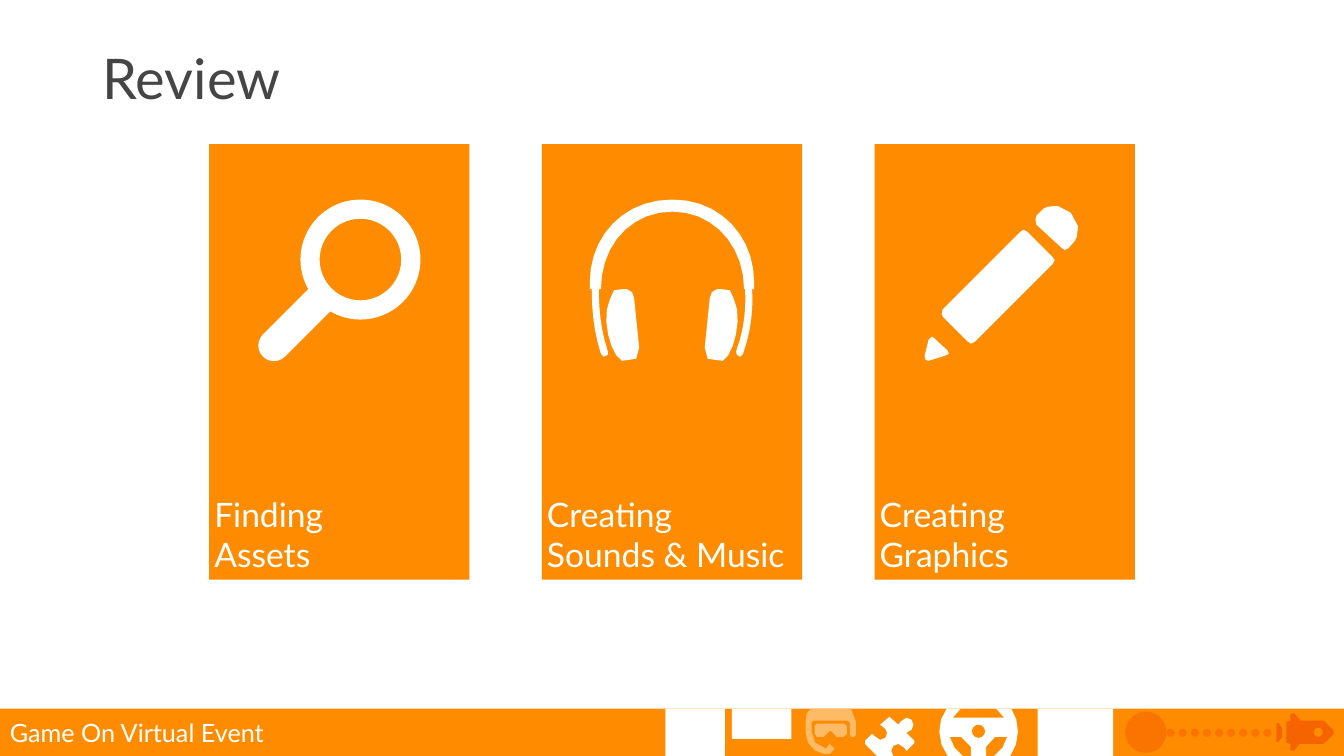
"""Builds the review slide: three icon cards above a decorated event band."""
from math import dist

from pptx import Presentation
from pptx.dml.color import RGBColor
from pptx.enum.shapes import MSO_SHAPE
from pptx.enum.text import MSO_ANCHOR, PP_ALIGN
from pptx.util import Inches, Pt

RECT, OVAL = MSO_SHAPE.RECTANGLE, MSO_SHAPE.OVAL
DONUT, ROUNDED = MSO_SHAPE.DONUT, MSO_SHAPE.ROUNDED_RECTANGLE
MIDDLE, BOTTOM, LEFT = MSO_ANCHOR.MIDDLE, MSO_ANCHOR.BOTTOM, PP_ALIGN.LEFT
COLORS = {"orange": "FF8C00", "white": "FFFFFF", "title": "454545",
          "dots": "F97400", "rocket": "F56400", "mask": "FFBA66"}
W, H = 13.33, 7.5
BAND_H = 0.47
BAND_Y = H - BAND_H
CARD_W, CARD_H, CARD_Y, GAP = 2.58, 4.32, 1.43, 0.72
CARD_X = (W - 3 * CARD_W - 2 * GAP) / 2
STEP = 12
UNIT = Inches(0.01)

# Outlines in hundredths of an inch: two numbers make a line, six a curve, | a new contour.
HEADPHONES = """667,198 618,198,585,235,585,280 585,287 587,287 587,303,588,326,596,351
    599,354 603,352 603,349 595,325,594,303,594,287 596,287 596,244,625,210,667,210
    708,210,738,244,738,287 739,287 740,303,739,325,730,349 731,352 734,354 737,351
    746,326,747,303,746,287 748,287 748,280 748,235,715,198,667,198 |
    617,287 609,288 605,297 596,314,605,352,617,358 624,357 631,356 634,345 629,296
    627,290 622,287 |
    716,287 711,287 706,290 704,296 699,345 702,356 709,357 717,358
    728,352,737,314,728,297 724,288"""
PENCIL = """937,353 941,351 940,348 926,335 924,334 921,337 917,353 918,357 921,358 |
    1062,211 1048,198,1035,207,1035,207 1028,214 1027,218 1028,223 1053,246
    1056,248 1060,246 1066,239 1066,239,1076,225,1062,211 |
    967,339 963,341 960,339 935,314 934,311 935,307 1012,230 1015,228 1019,230
    1044,255 1046,258 1044,262"""
MASK = """810,718 837,718 840,720 840,728 837,731 830,731 824,725 823,725 817,731
    810,731 808,728 808,720 |
    804,703 844,703 849,716 849,729 847,731 844,731 843,729 843,717 841,715 807,715
    805,717 805,726 805,734,810,741,818,742 819,743 823,738 828,743 823,748
    818,748 807,747,799,738,799,727 799,716 800,708"""
PUZZLE = """882,711 891,719 893,716 899,712 904,714 906,719 904,724 899,727 907,735
    907,737 899,745 897,742 891,738 886,740 884,745 886,750 870,750 858,738
    858,735 865,728 867,730 873,734 878,732 880,727 878,723 873,719 881,712"""
WHEEL = """939,703 953,703 945,712 996,712 988,703 1003,703 1012,716,1012,736,1002,750
    986,750 993,745,997,739,999,731 987,731 978,741 978,750 963,750 963,741 953,731
    942,731 944,739,948,745,955,750 940,750 929,736,929,716,939,703"""
ROCKET = """1268,717 1272,723 1272,731 1268,736 1266,736 1266,718 |
    1314,716 1322,724 1323,727 1322,729 1314,737 1312,738 1289,738 1283,745 1280,744
    1280,738 1276,737 1276,716 1280,715 1280,709 1283,707 1290,715 1312,715"""

prs = Presentation()
prs.slide_width, prs.slide_height = Inches(W), Inches(H)
s = prs.slides.add_slide(prs.slide_layouts[6])


def add_text(text, x, y, w, h, *, size=18, color="white", fill=None, shape=RECT,
             anchor=MIDDLE, inset=None, spacing=None):
    """Add a filled shape or, without a fill, a text box."""
    box = [Inches(v) for v in (x, y, w, h)]
    if fill:
        sp = s.shapes.add_shape(shape, *box)
        sp.fill.solid()
        sp.fill.fore_color.rgb = RGBColor.from_string(COLORS[fill])
        sp.line.fill.background()
        sp.shadow.inherit = False
    else:
        sp = s.shapes.add_textbox(*box)
    if not text:
        return sp
    tf = sp.text_frame
    tf.word_wrap, tf.vertical_anchor = True, anchor
    if inset is not None:
        tf.margin_left = tf.margin_right = tf.margin_top = tf.margin_bottom = Inches(inset)
    tf.text = text
    for p in tf.paragraphs:
        p.alignment, p.line_spacing = LEFT, spacing
        for r in p.runs:
            r.font.name, r.font.size = "Lato", Pt(size)
            r.font.color.rgb = RGBColor.from_string(COLORS[color])
    return sp


def add_outline(outline, color):
    """Draw all contours of an outline as one filled freeform."""
    fb = None
    for contour in outline.split("|"):
        pts = []
        for token in contour.split():
            v = [int(n) for n in token.split(",")]
            if len(v) == 2:
                pts.append(tuple(v))
                continue
            ends = [pts[-1], v[:2], v[2:4], v[4:]]
            steps = 1 + int(dist(ends[0], ends[3]) / STEP)
            for i in range(1, steps + 1):
                t = i / steps
                weights = (1 - t) ** 3, 3 * t * (1 - t) ** 2, 3 * t * t * (1 - t), t ** 3
                pts.append(tuple(sum(k * e[axis] for k, e in zip(weights, ends))
                                 for axis in (0, 1)))
        pts = [(x * UNIT, y * UNIT) for x, y in pts]
        if fb is None:
            fb = s.shapes.build_freeform(*pts[0])
        else:
            fb.move_to(*pts[0])
        fb.add_line_segments(pts[1:], close=True)
    sp = fb.convert_to_shape()
    sp.fill.solid()
    sp.fill.fore_color.rgb = RGBColor.from_string(COLORS[color])
    sp.line.fill.background()
    sp.shadow.inherit = False


add_text("Game On Virtual Event", 0, BAND_Y, W, BAND_H, fill="orange")
for x, w, h in [(6.6, 0.59, BAND_H), (7.26, 0.59, 0.3), (10.29, 0.75, BAND_H)]:
    add_text("", x, BAND_Y, w, h, fill="white")
add_text("", 11.16, 7.06, 0.41, 0.41, fill="dots", shape=OVAL)
for i in range(9):
    add_text("", 11.57 + 0.12 * i, 7.23, 0.08, 0.08, fill="dots", shape=OVAL)
for outline, color in [(MASK, "mask"), (PUZZLE, "white"), (WHEEL, "white"), (ROCKET, "rocket")]:
    add_outline(outline, color)
for x, y, d in [(9.64, 7.19, 0.13), (13.03, 7.22, 0.09)]:
    add_text("", x, y, d, d, fill="orange", shape=OVAL)

add_text("Review", 0.92, 0.32, 11.5, 0.98, size=40, color="title", spacing=0.9)
cards = ["Finding\nAssets", "Creating\vSounds & Music", "Creating Graphics"]
for col, label in enumerate(cards):
    add_text(label, CARD_X + col * (CARD_W + GAP), CARD_Y, CARD_W, CARD_H,
             size=24, fill="orange", anchor=BOTTOM, inset=0.05)

lens = add_text("", 2.98, 1.98, 1.19, 1.19, fill="white", shape=DONUT)
lens.adjustments[0] = 0.16
handle = add_text("", 2.47, 3.05, 0.94, 0.31, fill="white", shape=ROUNDED)
handle.adjustments[0] = 0.5
handle.rotation = -45
add_outline(HEADPHONES, "white")
add_outline(PENCIL, "white")

prs.save("out.pptx")
